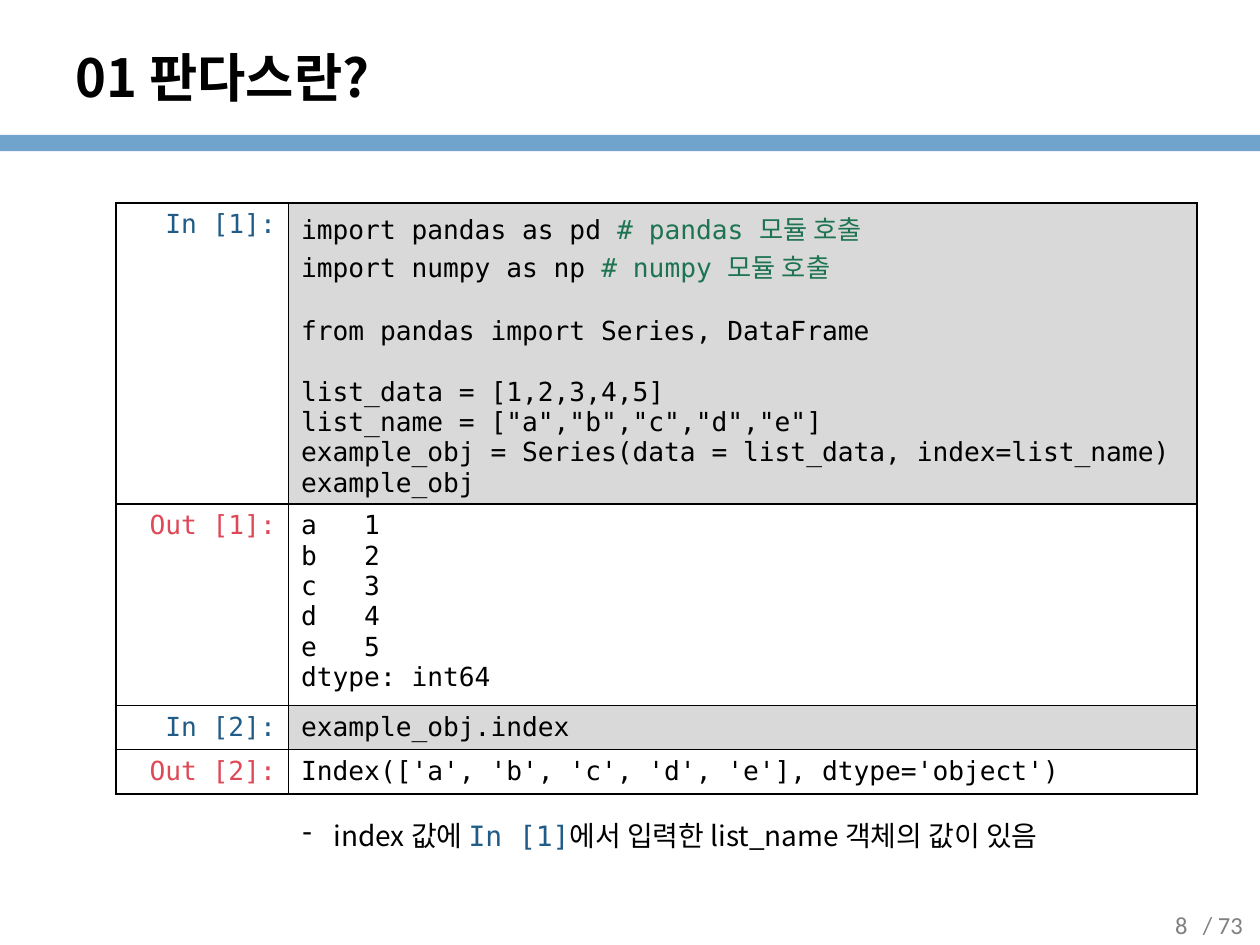
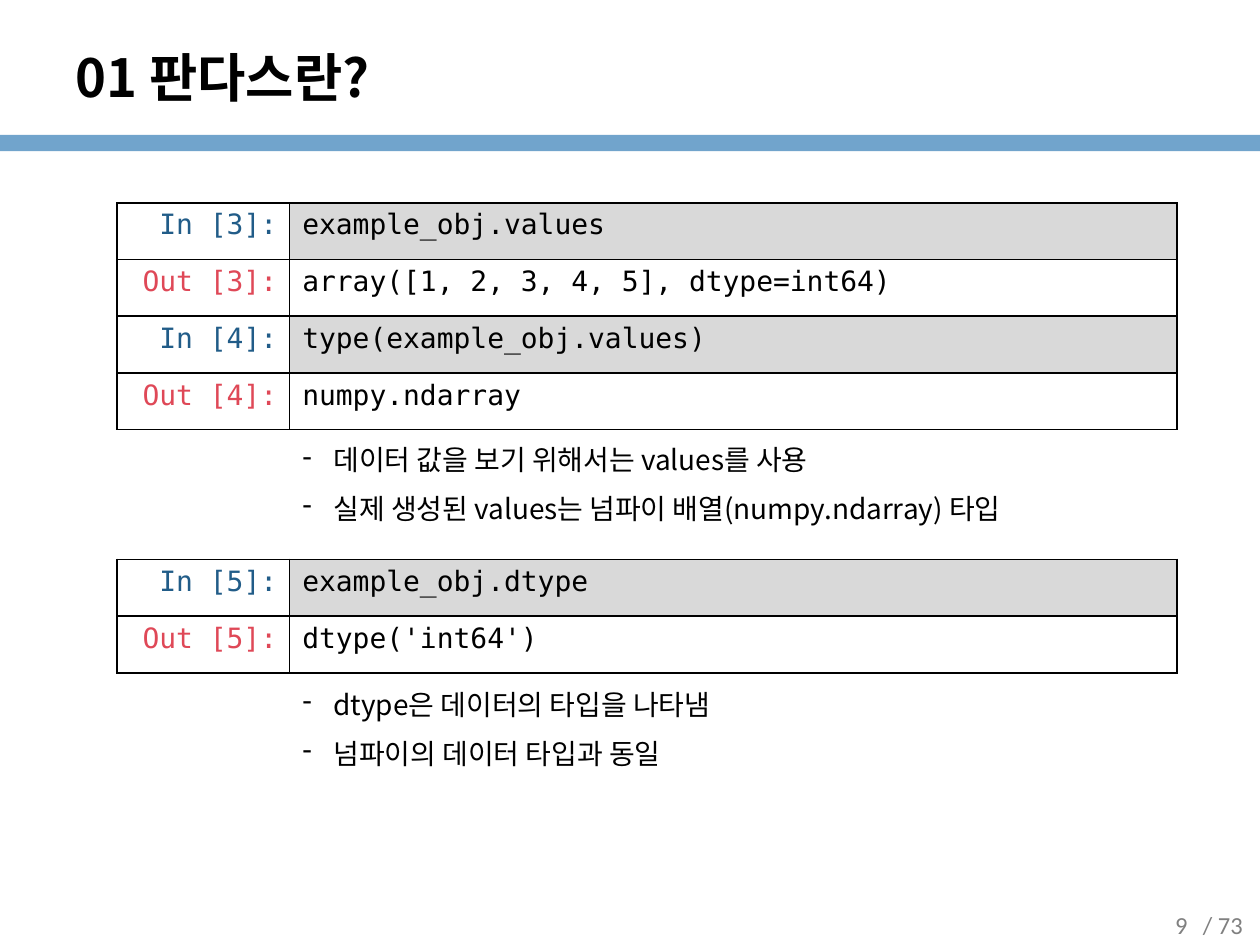
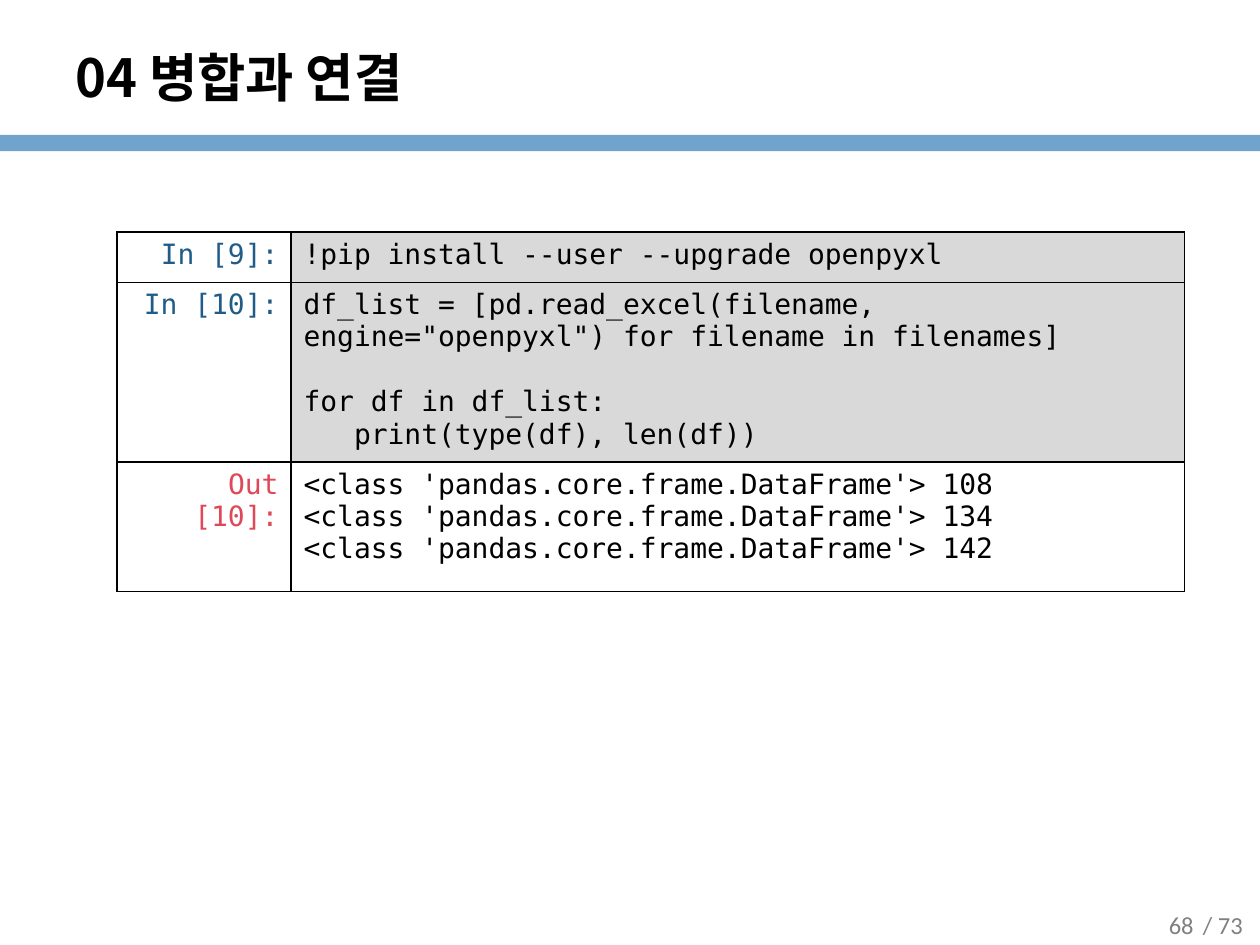
from lxml import etree
from pptx import Presentation
from pptx.dml.color import RGBColor
from pptx.enum.shapes import MSO_SHAPE as Shape
from pptx.enum.text import MSO_ANCHOR as Anchor, PP_ALIGN as Align
from pptx.oxml.ns import qn
from pptx.util import Inches, Pt

# Shared style
KOREAN, MONO, FOOTER = "Noto Sans CJK KR", "DejaVu Sans Mono", "Calibri"
BLACK, GRAY = "000000", "808080"
BAND, CODE_FILL = "71A4CC", "D9D9D9"
IN_BLUE, OUT_RED, COMMENT_GREEN = "215C88", "DF4857", "1E7452"
PAGE_TOTAL = 73
MONO_LINE = 1.165  # line height of the code font, in font sizes

# Code cells
SERIES_CODE = """import pandas as pd # pandas 모듈 호출
import numpy as np # numpy 모듈 호출

from pandas import Series, DataFrame

list_data = [1,2,3,4,5]
list_name = ["a","b","c","d","e"]
example_obj = Series(data = list_data, index=list_name)
example_obj"""
SERIES_OUTPUT = """a   1
b   2
c   3
d   4
e   5
dtype: int64"""
READ_CODE = """df_list = [pd.read_excel(filename, engine="openpyxl") for filename in filenames]

for df in df_list:
   print(type(df), len(df))"""
READ_OUTPUT = "\n".join(
    f"<class 'pandas.core.frame.DataFrame'> {count}" for count in (108, 134, 142))


def color(value):
    return RGBColor.from_string(value)


def style(font, name, size, font_color, bold=False):
    font.name = name
    font.size = Pt(size)
    font.color.rgb = color(font_color)
    font.bold = bold


def add_run(paragraph, text, run_color=None, name=None):
    run = paragraph.add_run()
    run.text = text
    if run_color:
        run.font.color.rgb = color(run_color)
    if name:
        run.font.name = name


def add_text_frame(slide, left, top, width, height, anchor=Anchor.TOP):
    box = slide.shapes.add_textbox(
        Inches(left), Inches(top), Inches(width), Inches(height))
    frame = box.text_frame
    frame.word_wrap = True
    frame.vertical_anchor = anchor
    return frame


# Title, band and page number
def add_footer_part(slide, left, text):
    paragraph = add_text_frame(slide, left, 7.14, 0.71, 0.39, Anchor.MIDDLE).paragraphs[0]
    paragraph.text = text
    paragraph.alignment = Align.CENTER
    style(paragraph.font, FOOTER, 14, GRAY)


def add_page(deck, title, number):
    slide = deck.slides.add_slide(deck.slide_layouts[6])
    band = slide.shapes.add_shape(
        Shape.RECTANGLE, 0, Inches(1.07), deck.slide_width, Inches(0.13))
    band.shadow.inherit = False
    band.fill.solid()
    band.fill.fore_color.rgb = color(BAND)
    band.line.fill.background()

    heading = add_text_frame(slide, 0.5, 0.3, 7.83, 0.62, Anchor.MIDDLE).paragraphs[0]
    heading.text = title
    style(heading.font, KOREAN, 30, BLACK, bold=True)

    add_footer_part(slide, 9.35, f"/ {PAGE_TOTAL}")
    add_footer_part(slide, 9.02, str(number))
    return slide


# Notebook tables
def add_borders(cell):
    properties = cell._tc.get_or_add_tcPr()
    for side in ("a:lnL", "a:lnR", "a:lnT", "a:lnB"):
        line = etree.SubElement(properties, qn(side), w=str(Pt(1)))
        fill = etree.SubElement(line, qn("a:solidFill"))
        etree.SubElement(fill, qn("a:srgbClr"), val=BLACK)


def fill_label(cell, label, size):
    paragraph = cell.text_frame.paragraphs[0]
    paragraph.text = label
    paragraph.alignment = Align.RIGHT
    style(paragraph.font, MONO, size, IN_BLUE if label.startswith("In") else OUT_RED)
    cell.fill.background()


def fill_code(cell, code, size, is_input):
    frame = cell.text_frame
    paragraph, gap = frame.paragraphs[0], 0
    for index, line in enumerate(code.split("\n")):
        if not line:
            gap += size * MONO_LINE
            continue
        if index:
            paragraph = frame.add_paragraph()
        if gap:
            paragraph.space_before = Pt(gap)
            gap = 0
        style(paragraph.font, MONO, size, BLACK)
        statement, mark, comment = line.partition("#")
        add_run(paragraph, statement)
        if mark:
            add_run(paragraph, mark + comment, COMMENT_GREEN)
    if is_input:
        cell.fill.solid()
        cell.fill.fore_color.rgb = color(CODE_FILL)
    else:
        cell.fill.background()


def add_notebook(slide, left, top, widths, entries, size=16):
    """Each entry is (label, code, row height)."""
    height = sum(entry[2] for entry in entries)
    table = slide.shapes.add_table(
        len(entries), 2, Inches(left), Inches(top),
        Inches(sum(widths)), Inches(height)).table
    table.first_row = table.horz_banding = False
    for column, width in zip(table.columns, widths):
        column.width = Inches(width)
    for index, (label, code, row_height) in enumerate(entries):
        table.rows[index].height = Inches(row_height)
        label_cell, code_cell = table.cell(index, 0), table.cell(index, 1)
        add_borders(label_cell)
        add_borders(code_cell)
        fill_label(label_cell, label, size)
        fill_code(code_cell, code, size, label.startswith("In"))


# Explanations under the tables
def add_remarks(slide, top, height, remarks):
    """Each remark is a list of runs: (text, colour, font), the last two optional."""
    frame = add_text_frame(slide, 0.8, top, 8.4, height)
    for index, runs in enumerate(remarks):
        paragraph = frame.add_paragraph() if index else frame.paragraphs[0]
        paragraph.level = 3
        paragraph.line_spacing = 1.25
        if index:
            paragraph.space_before = Pt(3.8)
        properties = paragraph._p.get_or_add_pPr()
        properties.set("marL", str(Inches(1.75)))
        properties.set("indent", str(Inches(-0.25)))
        bullet_color = etree.SubElement(properties, qn("a:buClr"))
        etree.SubElement(bullet_color, qn("a:srgbClr"), val=BLACK)
        etree.SubElement(properties, qn("a:buChar"), char="‐")
        style(paragraph.font, KOREAN, 16, BLACK)
        for run in runs:
            add_run(paragraph, *run)


def set_korean_font(slide):
    for latin in list(slide.element.iter(qn("a:latin"))):
        latin.addnext(etree.Element(qn("a:ea"), typeface=KOREAN))


def main():
    deck = Presentation()
    deck.slide_width, deck.slide_height = Inches(10), Inches(7.5)

    # Series and its index
    index_page = add_page(deck, "01 판다스란?", 8)
    add_notebook(index_page, 0.92, 1.61, (1.37, 7.21), [
        ("In [1]:", SERIES_CODE, 2.39),
        ("Out [1]:", SERIES_OUTPUT, 1.55),
        ("In [2]:", "example_obj.index", 0.34),
        ("Out [2]:", "Index(['a', 'b', 'c', 'd', 'e'], dtype='object')", 0.34),
    ], size=15)
    add_remarks(index_page, 6.38, 0.43, [
        [("index 값에 ",), ("In [1]", IN_BLUE, MONO),
         ("에서 입력한 list_name 객체의 값이 있음",)],
    ])

    # Values and data type
    values_page = add_page(deck, "01 판다스란?", 9)
    values_widths = (1.37, 7.04)
    add_notebook(values_page, 0.93, 1.61, values_widths, [
        ("In [3]:", "example_obj.values", 0.45),
        ("Out [3]:", "array([1, 2, 3, 4, 5], dtype=int64)", 0.45),
        ("In [4]:", "type(example_obj.values)", 0.45),
        ("Out [4]:", "numpy.ndarray", 0.45),
    ])
    add_remarks(values_page, 3.4, 0.82, [
        [("데이터 값을 보기 위해서는 values를 사용",)],
        [("실제 생성된 values는 넘파이 배열(numpy.ndarray) 타입",)],
    ])
    add_notebook(values_page, 0.93, 4.44, values_widths, [
        ("In [5]:", "example_obj.dtype", 0.45),
        ("Out [5]:", "dtype('int64')", 0.45),
    ])
    add_remarks(values_page, 5.34, 0.82, [
        [("dtype은 데이터의 타입을 나타냄",)],
        [("넘파이의 데이터 타입과 동일",)],
    ])

    # Reading the files
    reading_page = add_page(deck, "04 병합과 연결", 68)
    reading_widths = (1.38, 7.09)
    add_notebook(reading_page, 0.93, 2.24, reading_widths, [
        ("In [10]:", READ_CODE, 1.38),
        ("Out [10]:", READ_OUTPUT, 1.03),
    ])
    add_notebook(reading_page, 0.93, 1.84, reading_widths, [
        ("In [9]:", "!pip install --user --upgrade openpyxl", 0.4),
    ])

    for slide in deck.slides:
        set_korean_font(slide)
    deck.save("out.pptx")


if __name__ == "__main__":
    main()
